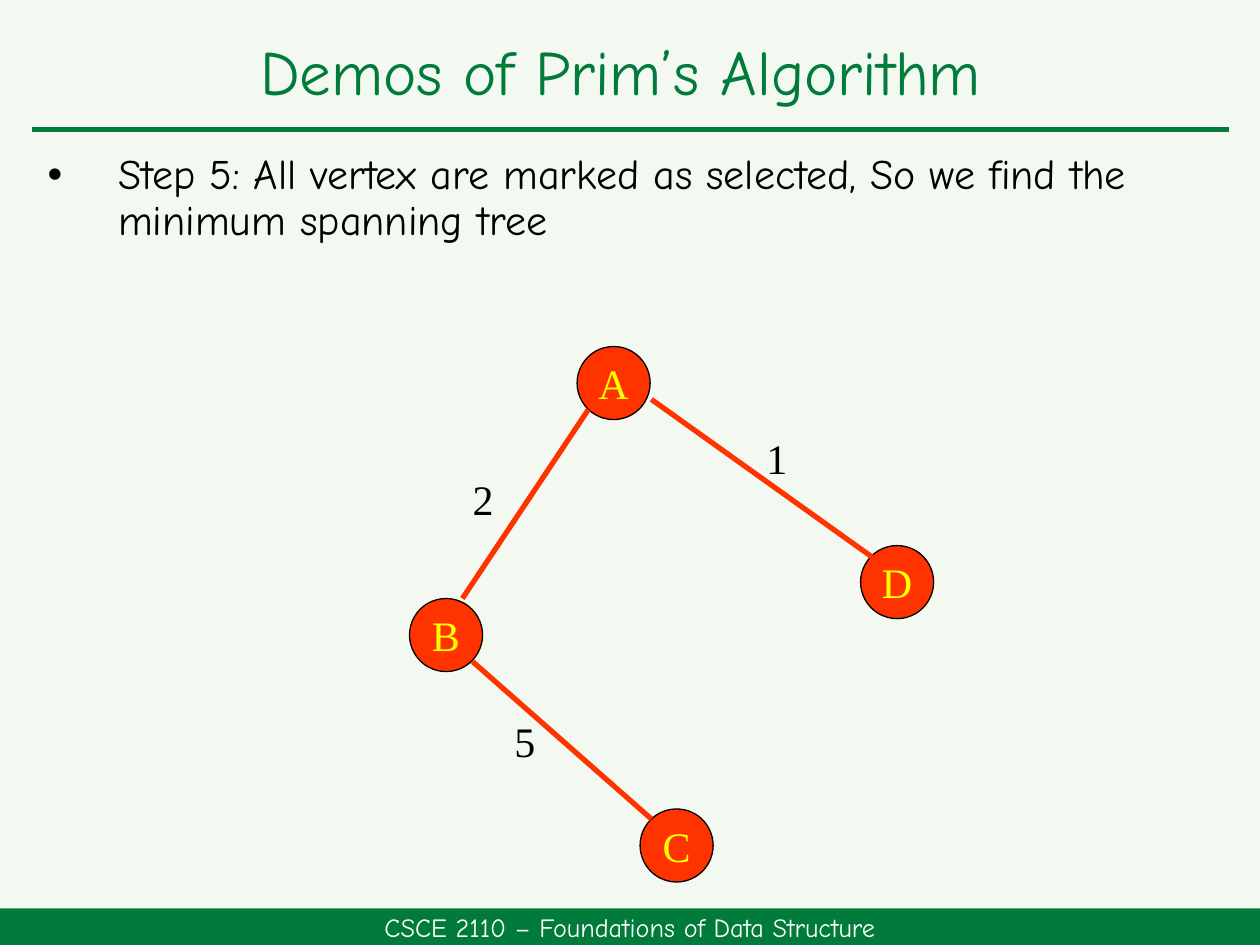
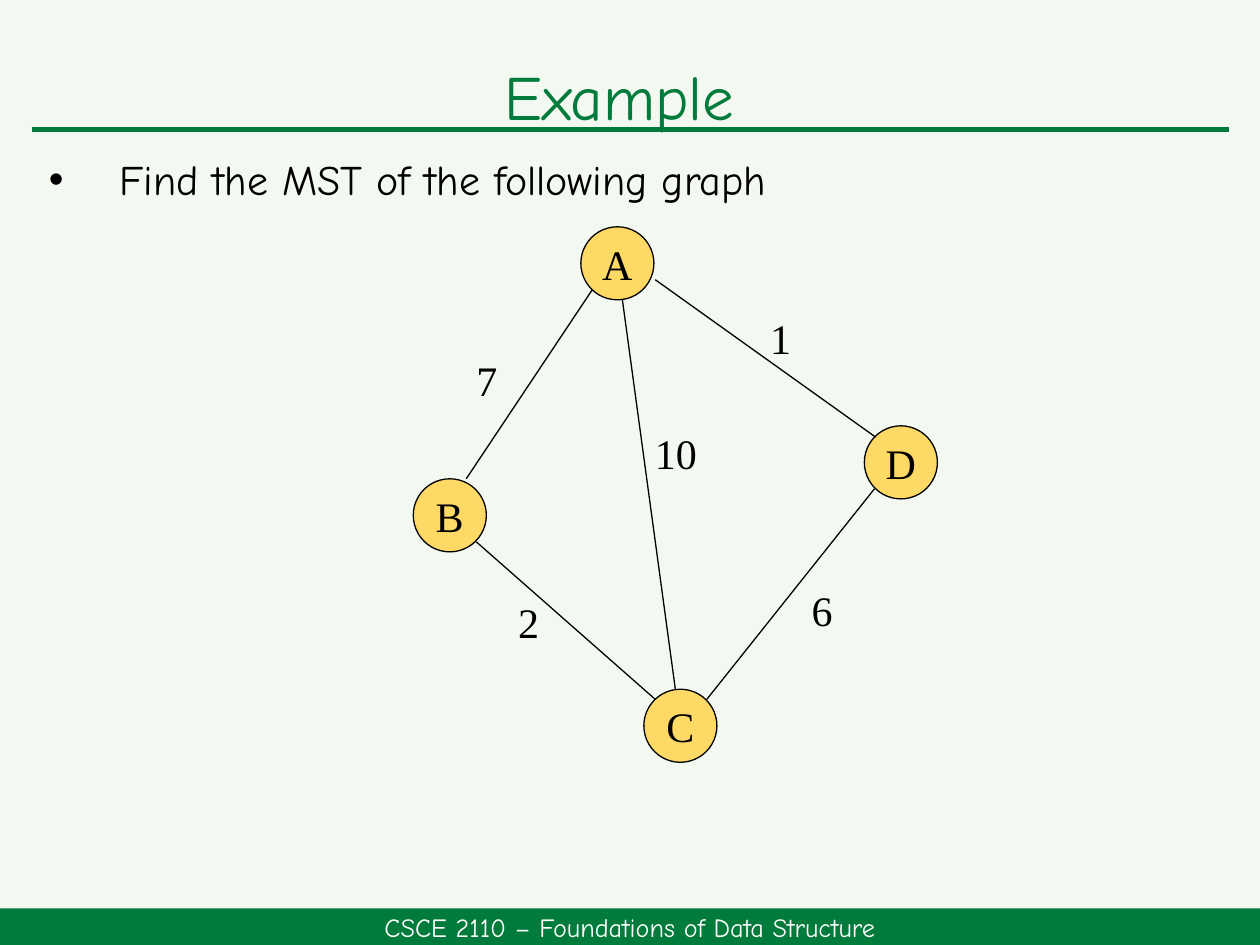
from dataclasses import dataclass

import lxml.etree
import pptx
import pptx.dml.color
import pptx.enum.shapes
import pptx.enum.text
import pptx.oxml.ns
import pptx.util
from pptx.util import Inches

COLORS = {
    "background": "F3F9F0",
    "green": "007B3B",
    "white": "FFFFFF",
    "black": "000000",
    "red": "FF3300",
    "yellow": "FFFF00",
    "gold": "FFD966",
}
HEADING_FONT = "Comic Neue"
GRAPH_FONT = "Times New Roman"
FOOTER = "CSCE 2110 – Foundations of Data Structure"
TITLE_ONLY = 5
NODE_SIZE = 0.58
WEIGHT_SIZE = (0.67, 0.42)

# Graph geometry in inches, measured from the top left of node A.
NODES = {"A": (0, 0), "B": (-1.33, 2), "C": (0.5, 3.67), "D": (2.25, 1.58)}


@dataclass(frozen=True)
class Edge:
    start: tuple[float, float]
    end: tuple[float, float]
    weight_at: tuple[float, float]


EDGES = {
    "AB": Edge((0.09, 0.5), (-0.91, 2), (-1.08, 1)),
    "BC": Edge((-0.83, 2.5), (0.59, 3.75), (-0.75, 2.92)),
    "AD": Edge((0.59, 0.42), (2.34, 1.67), (1.25, 0.67)),
    "CD": Edge((2.33, 2.08), (1, 3.75), (1.58, 2.83)),
    "AC": Edge((0.33, 0.58), (0.75, 3.67), (0.42, 1.58)),
}


@dataclass(frozen=True)
class GraphSlide:
    title: str
    title_box: tuple[float, float, float, float]
    bullet: str
    bullet_box: tuple[float, float, float, float]
    bullet_spacing: float
    origin: tuple[float, float]
    weights: dict[str, int]
    node_fill: str
    node_text: str
    edge_color: str
    edge_width: float


SLIDES = [
    GraphSlide(
        title="Demos of Prim’s Algorithm ",
        title_box=(0.28, 0.17, 9.46, 0.86),
        bullet="Step 5: All vertex are marked as selected, So we find the minimum spanning tree",
        bullet_box=(0.28, 1.17, 9.46, 1.08),
        bullet_spacing=0.9,
        origin=(4.58, 2.75),
        weights={"AB": 2, "AD": 1, "BC": 5},
        node_fill="red",
        node_text="yellow",
        edge_color="red",
        edge_width=3,
    ),
    GraphSlide(
        title="Example",
        title_box=(0.33, 0.17, 9.17, 1.25),
        bullet="Find the MST of the following graph",
        bullet_box=(0.29, 1.17, 9.38, 0.58),
        bullet_spacing=1.0,
        origin=(4.61, 1.8),
        weights={"AB": 7, "AD": 1, "AC": 10, "BC": 2, "CD": 6},
        node_fill="gold",
        node_text="black",
        edge_color="black",
        edge_width=0.75,
    ),
]


def rgb(name: str) -> pptx.dml.color.RGBColor:
    return pptx.dml.color.RGBColor.from_string(COLORS[name])


def write_text(shape, text: str, *, size: float = 24, font: str = GRAPH_FONT,
               color: str = "black", centered: bool = True, middle: bool = True,
               wrap: bool = True, margin: float | None = None,
               line_spacing: float = 1.0):
    """Fill the shape with one formatted paragraph and return it."""
    frame = shape.text_frame
    frame.text = text
    frame.word_wrap = wrap
    frame.auto_size = pptx.enum.text.MSO_AUTO_SIZE.NONE
    anchor = pptx.enum.text.MSO_ANCHOR
    frame.vertical_anchor = anchor.MIDDLE if middle else anchor.TOP
    if margin is not None:
        frame.margin_left = frame.margin_right = Inches(margin)
        frame.margin_top = frame.margin_bottom = Inches(margin)
    paragraph = frame.paragraphs[0]
    align = pptx.enum.text.PP_ALIGN
    paragraph.alignment = align.CENTER if centered else align.LEFT
    paragraph.line_spacing = line_spacing
    run_font = paragraph.runs[0].font
    run_font.size = pptx.util.Pt(size)
    run_font.name = font
    run_font.color.rgb = rgb(color)
    return paragraph


def add_line(slide, start: tuple[float, float], end: tuple[float, float],
             color: str, width: float) -> None:
    line = slide.shapes.add_connector(
        pptx.enum.shapes.MSO_CONNECTOR.STRAIGHT,
        *(Inches(value) for value in (*start, *end)))
    line.line.color.rgb = rgb(color)
    line.line.width = pptx.util.Pt(width)
    properties = line._element.spPr
    lxml.etree.SubElement(properties, pptx.oxml.ns.qn("a:effectLst"))


def add_filled_shape(slide, kind, box: tuple[float, float, float, float],
                     fill: str, outline: str | None = None):
    shape = slide.shapes.add_shape(kind, *map(Inches, box))
    shape.shadow.inherit = False
    shape.fill.solid()
    shape.fill.fore_color.rgb = rgb(fill)
    if outline:
        shape.line.color.rgb = rgb(outline)
        shape.line.width = pptx.util.Pt(0.75)
    else:
        shape.line.fill.background()
    return shape


def add_frame(slide) -> None:
    """Draw the rule under the title and the footer band."""
    add_line(slide, (0.25, 1.03), (9.75, 1.03), "green", 3)
    footer = add_filled_shape(slide, pptx.enum.shapes.MSO_SHAPE.RECTANGLE,
                              (0, 7.21, 10, 0.29), "green")
    write_text(footer, FOOTER, size=15, font=HEADING_FONT, color="white", margin=0)


def add_title(slide, content: GraphSlide) -> None:
    title = slide.shapes.title
    title.left, title.top, title.width, title.height = map(Inches, content.title_box)
    write_text(title, content.title, size=36, font=HEADING_FONT, color="green",
               line_spacing=0.9)


def add_bullet(slide, content: GraphSlide) -> None:
    box = slide.shapes.add_textbox(*map(Inches, content.bullet_box))
    paragraph = write_text(box, content.bullet, font=HEADING_FONT, centered=False,
                           middle=False, line_spacing=content.bullet_spacing)
    paragraph.space_before = pptx.util.Pt(10)
    paragraph.space_after = pptx.util.Pt(6)
    properties = paragraph._p.get_or_add_pPr()
    properties.set("marL", str(Inches(0.56)))
    properties.set("indent", str(-Inches(0.56)))
    qn = pptx.oxml.ns.qn
    lxml.etree.SubElement(properties, qn("a:buFont"), typeface="Arial")
    lxml.etree.SubElement(properties, qn("a:buChar"), char="•")


def add_graph(slide, content: GraphSlide) -> None:
    def place(point: tuple[float, float]) -> tuple[float, float]:
        return content.origin[0] + point[0], content.origin[1] + point[1]

    for name, point in NODES.items():
        node = add_filled_shape(slide, pptx.enum.shapes.MSO_SHAPE.OVAL,
                                (*place(point), NODE_SIZE, NODE_SIZE),
                                content.node_fill, "black")
        write_text(node, name, color=content.node_text, wrap=False)
    for name, weight in content.weights.items():
        edge = EDGES[name]
        add_line(slide, place(edge.start), place(edge.end),
                 content.edge_color, content.edge_width)
        label = slide.shapes.add_textbox(
            *map(Inches, (*place(edge.weight_at), *WEIGHT_SIZE)))
        write_text(label, str(weight), wrap=False)


def main() -> None:
    presentation = pptx.Presentation()
    presentation.slide_width = Inches(10)
    presentation.slide_height = Inches(7.5)
    background = presentation.slide_master.background.fill
    background.solid()
    background.fore_color.rgb = rgb("background")
    for content in SLIDES:
        slide = presentation.slides.add_slide(presentation.slide_layouts[TITLE_ONLY])
        add_frame(slide)
        add_title(slide, content)
        add_bullet(slide, content)
        add_graph(slide, content)
    presentation.save("out.pptx")


if __name__ == "__main__":
    main()
